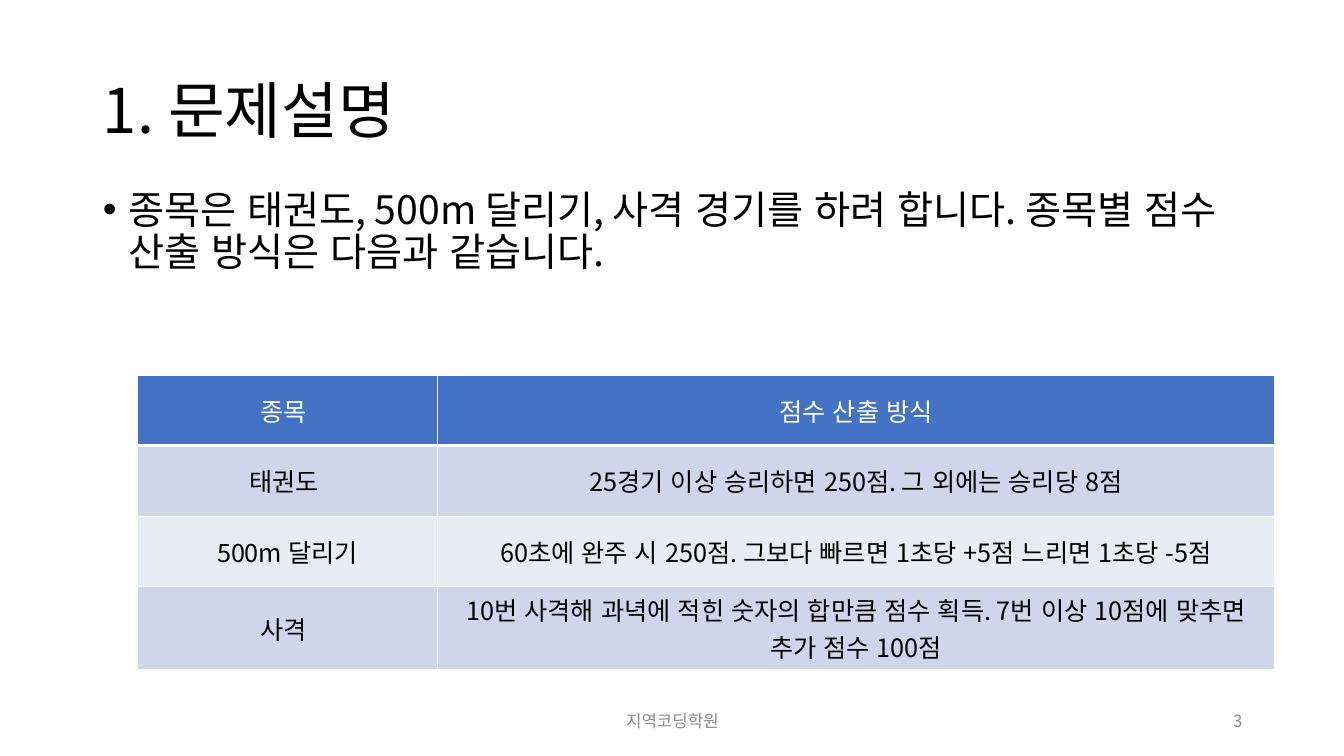
from dataclasses import dataclass

from lxml.etree import SubElement
from pptx import Presentation
from pptx.dml.color import RGBColor
from pptx.enum.lang import MSO_LANGUAGE_ID
from pptx.enum.text import MSO_ANCHOR, MSO_AUTO_SIZE, PP_ALIGN
from pptx.oxml import parse_xml
from pptx.oxml.ns import nsdecls, qn
from pptx.util import Inches, Pt

TITLE = "1. 문제설명"
BODY = "종목은 태권도, 500m 달리기, 사격 경기를 하려 합니다. 종목별 점수 산출 방식은 다음과 같습니다."
FOOTER = "지역코딩학원"
PAGE_NUMBER = "3"
SCORING = [
    ("종목 ", "점수 산출 방식"),
    ("태권도 ", "25경기 이상 승리하면 250점. 그 외에는 승리당 8점"),
    ("500m 달리기", "60초에 완주 시 250점. 그보다 빠르면 1초당 +5점 느리면 1초당 -5점"),
    ("사격 ", "10번 사격해 과녁에 적힌 숫자의 합만큼 점수 획득. 7번 이상 10점에 맞추면 추가 점수 100점"),
]
COLUMN_WIDTHS = (2.98, 8.3)
ROW_HEIGHTS = (0.7, 0.7, 0.7, 0.82)


@dataclass(frozen=True)
class Theme:
    font: str = "Noto Sans CJK KR"
    text: str = "000000"
    muted: str = "8C8C8C"
    white: str = "FFFFFF"
    header: str = "4472C4"
    bands: tuple = ("E9EBF5", "CFD5EA")
    title_size: int = 44
    body_size: int = 28
    table_size: int = 18
    footer_size: int = 12
    line: int = 1
    header_line: int = 3


THEME = Theme()


def write(frame, text, size, color, align=PP_ALIGN.LEFT, anchor=MSO_ANCHOR.MIDDLE):
    frame.word_wrap = True
    frame.vertical_anchor = anchor
    para = frame.paragraphs[0]
    para.alignment = align
    para.space_before = Pt(0)
    span = para.add_run()
    span.text = text
    span.font.size = Pt(size)
    span.font.name = THEME.font
    span.font.language_id = MSO_LANGUAGE_ID.KOREAN
    span.font.color.rgb = RGBColor.from_string(color)
    SubElement(span.font._element, qn("a:ea"), typeface=THEME.font)
    return para


def place(shape, left, top, width, height):
    shape.left, shape.top = Inches(left), Inches(top)
    shape.width, shape.height = Inches(width), Inches(height)


def add_heading(page):
    title = page.shapes.title
    place(title, 0.92, 0.4, 11.5, 1.45)
    title.text_frame.auto_size = MSO_AUTO_SIZE.NONE
    write(title.text_frame, TITLE, THEME.title_size, THEME.text).line_spacing = 0.9


def add_body(page):
    body = page.placeholders[1]
    place(body, 0.92, 1.84, 11.5, 4.94)
    body.text_frame.auto_size = MSO_AUTO_SIZE.NONE
    para = write(body.text_frame, BODY, THEME.body_size, THEME.text, anchor=MSO_ANCHOR.TOP)
    para.line_spacing = 0.9
    properties = para._p.get_or_add_pPr()
    properties.set("marL", str(Inches(0.25)))
    properties.set("indent", str(Inches(-0.25)))
    SubElement(properties, qn("a:buFont"), typeface="Arial")
    SubElement(properties, qn("a:buChar"), char="•")


def set_borders(cell, widths):
    """Draw white borders, widths in points for left, right, top and bottom."""
    properties = cell._tc.get_or_add_tcPr()
    for index, (side, width) in enumerate(zip("LRTB", widths)):
        properties.insert(index, parse_xml(
            f'<a:ln{side} {nsdecls("a")} w="{Pt(width)}"><a:solidFill>'
            f'<a:srgbClr val="{THEME.white}"/></a:solidFill></a:ln{side}>'))


def add_scoring_table(page):
    table = page.shapes.add_table(
        len(SCORING), len(COLUMN_WIDTHS), Inches(1.36), Inches(3.72),
        Inches(sum(COLUMN_WIDTHS)), Inches(sum(ROW_HEIGHTS))).table
    for column, width in zip(table.columns, COLUMN_WIDTHS):
        column.width = Inches(width)
    for row_index, row in enumerate(SCORING):
        table.rows[row_index].height = Inches(ROW_HEIGHTS[row_index])
        is_header = row_index == 0
        fill = THEME.header if is_header else THEME.bands[row_index % 2]
        color = THEME.white if is_header else THEME.text
        top = THEME.header_line if row_index == 1 else THEME.line
        bottom = THEME.header_line if is_header else THEME.line
        for column_index, text in enumerate(row):
            cell = table.cell(row_index, column_index)
            cell.fill.solid()
            cell.fill.fore_color.rgb = RGBColor.from_string(fill)
            set_borders(cell, (THEME.line, THEME.line, top, bottom))
            para = write(cell.text_frame, text, THEME.table_size, color, PP_ALIGN.CENTER)
            para.runs[0].font.bold = False
            cell.vertical_anchor = MSO_ANCHOR.MIDDLE


def add_footer(page, text, left, width, align):
    box = page.shapes.add_textbox(Inches(left), Inches(6.95), Inches(width), Inches(0.4))
    write(box.text_frame, text, THEME.footer_size, THEME.muted, align)


def main():
    deck = Presentation()
    deck.slide_width, deck.slide_height = Inches(13.33), Inches(7.5)
    page = deck.slides.add_slide(deck.slide_layouts[1])
    add_heading(page)
    add_body(page)
    add_footer(page, FOOTER, 4.42, 4.5, PP_ALIGN.CENTER)
    add_footer(page, PAGE_NUMBER, 9.42, 3, PP_ALIGN.RIGHT)
    add_scoring_table(page)
    deck.save("out.pptx")


if __name__ == "__main__":
    main()
